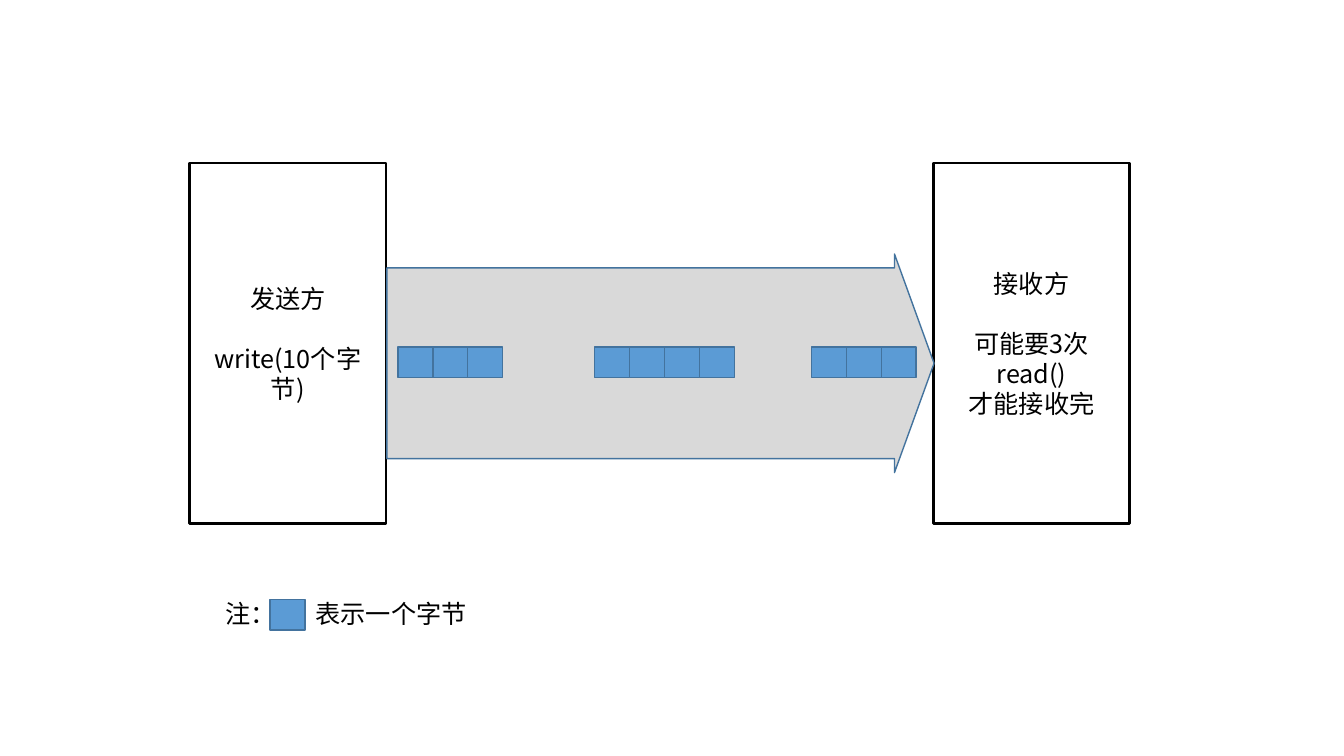
from lxml import etree
from pptx import Presentation
from pptx import util as u
from pptx.dml.color import RGBColor
from pptx.enum import shapes, text
from pptx.oxml.ns import qn

FONT = "Noto Sans CJK SC"
BLACK = RGBColor(0x00, 0x00, 0x00)
GREY = RGBColor(0xD9, 0xD9, 0xD9)
BLUE = RGBColor(0x5B, 0x9B, 0xD5)
EDGE = RGBColor(0x43, 0x73, 0x9E)
LINE_HEIGHT = u.Pt(21.6)
BYTE_WIDTH, BYTE_HEIGHT = 0.88, 0.77

deck = Presentation()
deck.slide_width, deck.slide_height = u.Cm(33.87), u.Cm(19.05)
page = deck.slides.add_slide(deck.slide_layouts[6])


def add_box(kind, left, top, width, height, fill, edge, weight):
    """Add a shadowless shape, measured in cm; a fill of None leaves it open."""
    box = page.shapes.add_shape(kind, u.Cm(left), u.Cm(top), u.Cm(width), u.Cm(height))
    box.shadow.inherit = False
    if fill is None:
        box.fill.background()
    else:
        box.fill.solid()
        box.fill.fore_color.rgb = fill
    box.line.color.rgb = edge
    box.line.width = u.Pt(weight)
    return box


def add_span(para, words):
    span = para.add_run()
    span.text = words
    span.font.size = u.Pt(18)
    span.font.name = FONT
    span.font.color.rgb = BLACK
    east_asian = etree.SubElement(span.font._element, qn("a:ea"))
    east_asian.set("typeface", FONT)


# Sender and receiver
endpoints = [
    (4.78, ["发送方", "write(10个字节)"]),
    (23.52, ["接收方", "可能要3次read()", "才能接收完"]),
]
for left, lines in endpoints:
    box = add_box(shapes.MSO_SHAPE.RECTANGLE, left, 4.11, 4.95, 9.09, None, BLACK, 2)
    frame = box.text_frame
    frame.word_wrap = True
    frame.vertical_anchor = text.MSO_ANCHOR.MIDDLE
    for index, line in enumerate(lines):
        para = frame.paragraphs[0] if index == 0 else frame.add_paragraph()
        para.alignment = text.PP_ALIGN.CENTER
        para.line_spacing = LINE_HEIGHT
        if index == 1:
            para.space_before = LINE_HEIGHT
        add_span(para, line)

# Channel between them
channel = add_box(shapes.MSO_SHAPE.RIGHT_ARROW, 9.75, 6.4, 13.79, 5.51, GREY, EDGE, 1)
channel.adjustments[0] = 0.872
channel.adjustments[1] = 0.181

# Bytes in transit, then the single byte of the legend
byte_groups = [(10.03, 8.74, 3), (14.99, 8.74, 4), (20.45, 8.74, 3), (6.81, 15.11, 1)]
for left, top, count in byte_groups:
    for index in range(count):
        add_box(shapes.MSO_SHAPE.RECTANGLE, left + index * BYTE_WIDTH, top,
                BYTE_WIDTH, BYTE_HEIGHT, BLUE, EDGE, 1)

# Legend, with a tab stop to clear the byte
legend = page.shapes.add_textbox(u.Cm(5.44), u.Cm(14.96), u.Cm(6.8), u.Cm(1.02))
legend.text_frame.word_wrap = True
para = legend.text_frame.paragraphs[0]
para.line_spacing = LINE_HEIGHT
tabs = etree.SubElement(para._p.get_or_add_pPr(), qn("a:tabLst"))
etree.SubElement(tabs, qn("a:tab"), pos=str(u.Cm(2.26)), algn="l")
add_span(para, "注：\t表示一个字节")

deck.save("out.pptx")
